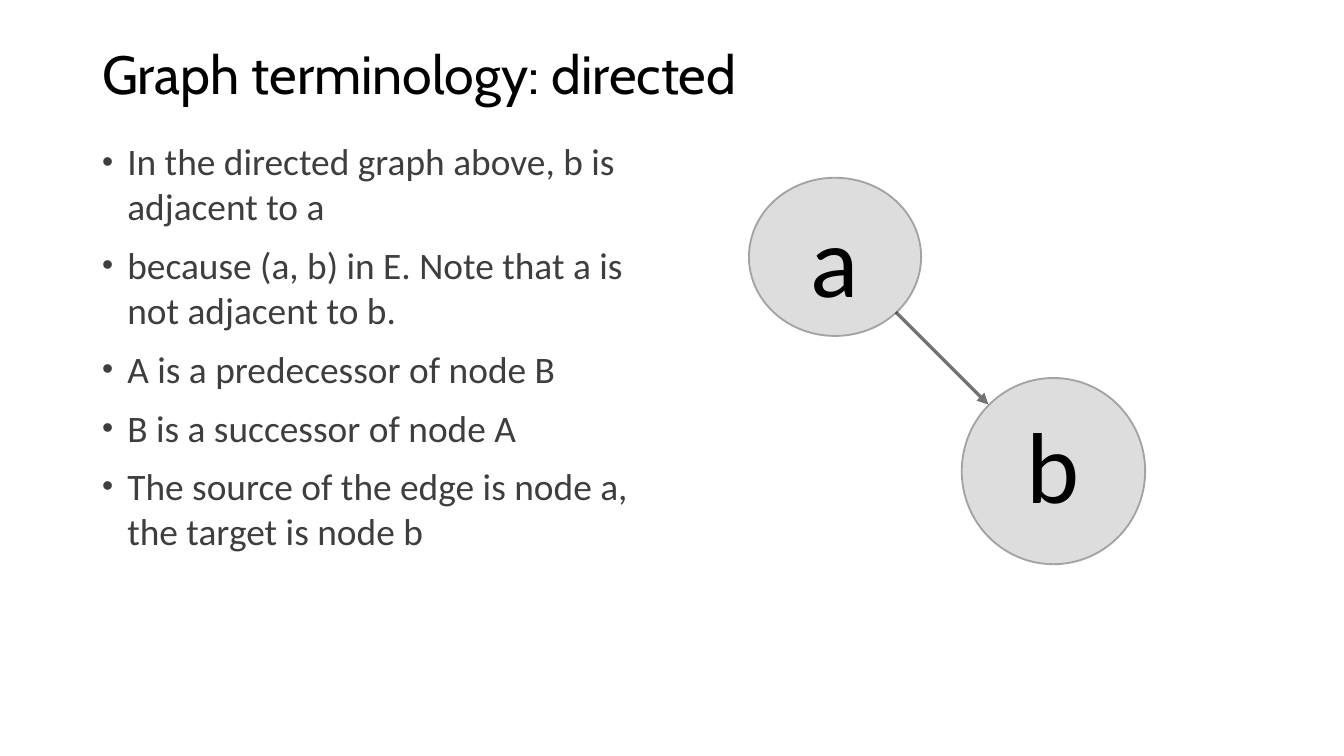
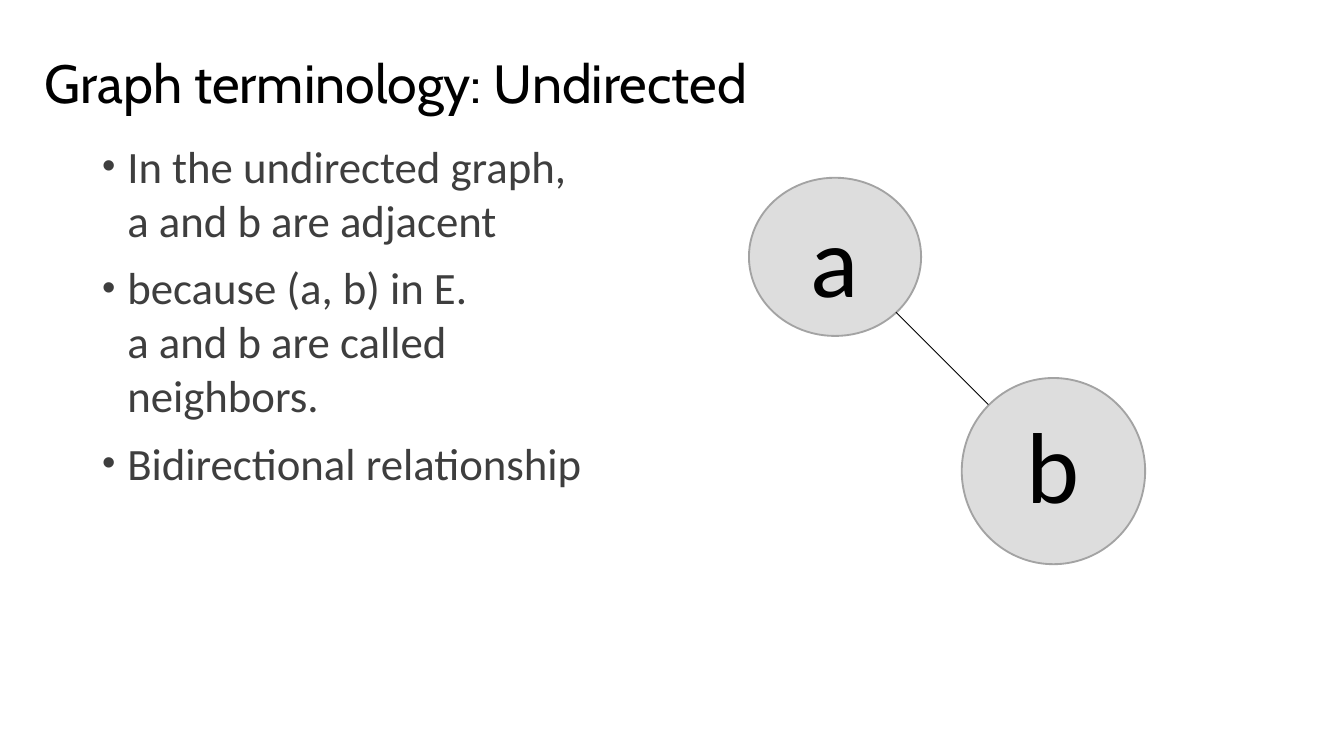
from dataclasses import dataclass
from math import sqrt

from lxml import etree
from pptx import Presentation
from pptx.dml.color import RGBColor
from pptx.enum.shapes import MSO_CONNECTOR, MSO_SHAPE
from pptx.enum.text import MSO_ANCHOR, PP_ALIGN
from pptx.oxml.ns import qn
from pptx.slide import Slide
from pptx.text.text import TextFrame, _Paragraph
from pptx.util import Emu, Pt

STRAIGHT = MSO_CONNECTOR.STRAIGHT
ELLIPSE = MSO_SHAPE.OVAL
TOP, MIDDLE, BOTTOM = MSO_ANCHOR.TOP, MSO_ANCHOR.MIDDLE, MSO_ANCHOR.BOTTOM
CENTER = PP_ALIGN.CENTER

EMU_PER_PX = 9525
SLIDE_WIDTH, SLIDE_HEIGHT = 960, 540


@dataclass(frozen=True)
class Theme:
    title_font: str = "Cabin"
    text_font: str = "Calibri"
    ink: str = "000000"
    body: str = "3E3E3E"
    node_fill: str = "DDDDDD"
    node_line: str = "A3A3A3"
    title_size: float = 28.8
    node_size: float = 54
    bullet_gap: float = 7.5
    bullet_percent: int = 85
    tight_spacing: float = 0.9


THEME = Theme()


@dataclass(frozen=True)
class Box:
    left: int
    top: int
    width: int
    height: int

    def diagonal_point(self, direction: int) -> tuple[int, int]:
        """Point of the inscribed ellipse at 45 degrees: 1 lower right, -1 upper left."""
        reach = (1 + direction / sqrt(2)) / 2
        return round(self.left + self.width * reach), round(self.top + self.height * reach)


@dataclass(frozen=True)
class Node:
    label: str
    box: Box
    line_spacing: float


@dataclass(frozen=True)
class Edge:
    width: float
    directed: bool
    opacity: int = 100


@dataclass(frozen=True)
class GraphSlide:
    title: str
    title_box: Box
    bullets: tuple[str, ...]
    bullet_size: int
    edge: Edge


BULLET_BOX = Box(66, 95, 396, 350)
BULLET_INDENT = 18
NODE_A = Node("a", Box(535, 127, 123, 113), 1.0)
NODE_B = Node("b", Box(687, 270, 131, 133), THEME.tight_spacing)

GRAPH_SLIDES = (
    GraphSlide(
        "Graph terminology: directed",
        Box(66, 29, 828, 51),
        (
            "In the directed graph above, b is adjacent to a",
            "because (a, b) in E. Note that a is not adjacent to b.",
            "A is a predecessor of node B",
            "B is a successor of node A",
            "The source of the edge is node a, the target is node b",
        ),
        20,
        Edge(1.75, directed=True, opacity=55),
    ),
    GraphSlide(
        "Graph terminology: Undirected",
        Box(25, 35, 828, 51),
        (
            "In the undirected graph,\va and b are adjacent",
            "because (a, b) in E.\va and b are called neighbors.",
            "Bidirectional relationship",
        ),
        24,
        Edge(0.5, directed=False),
    ),
)


def px(length: int) -> Emu:
    return Emu(length * EMU_PER_PX)


def place(box: Box) -> tuple[Emu, Emu, Emu, Emu]:
    return px(box.left), px(box.top), px(box.width), px(box.height)


def prepare_frame(frame: TextFrame, anchor: MSO_ANCHOR, side: int, end: int) -> None:
    frame.word_wrap = True
    frame.vertical_anchor = anchor
    frame.margin_left = frame.margin_right = px(side)
    frame.margin_top = frame.margin_bottom = px(end)


def style_runs(paragraph: _Paragraph, font: str, size: float, color: str) -> None:
    for run in paragraph.runs:
        run.font.name = font
        run.font.size = Pt(size)
        run.font.color.rgb = RGBColor.from_string(color)


def add_text_box(slide: Slide, box: Box, anchor: MSO_ANCHOR) -> TextFrame:
    frame = slide.shapes.add_textbox(*place(box)).text_frame
    prepare_frame(frame, anchor, side=7, end=4)
    return frame


def add_title(slide: Slide, title: str, box: Box) -> None:
    frame = add_text_box(slide, box, BOTTOM)
    frame.text = title
    heading = frame.paragraphs[0]
    heading.line_spacing = THEME.tight_spacing
    style_runs(heading, THEME.title_font, THEME.title_size, THEME.ink)


def add_bullet_mark(paragraph: _Paragraph) -> None:
    properties = paragraph._p.get_or_add_pPr()
    properties.set("marL", str(px(BULLET_INDENT)))
    properties.set("indent", str(px(-BULLET_INDENT)))
    mark_color = etree.SubElement(properties, qn("a:buClr"))
    etree.SubElement(mark_color, qn("a:srgbClr"), val=THEME.body)
    etree.SubElement(properties, qn("a:buSzPct"), val=str(THEME.bullet_percent * 1000))
    etree.SubElement(properties, qn("a:buFont"), typeface="Arial")
    etree.SubElement(properties, qn("a:buChar"), char="•")


def add_bullets(slide: Slide, bullets: tuple[str, ...], size: int) -> None:
    frame = add_text_box(slide, BULLET_BOX, TOP)
    for index, statement in enumerate(bullets):
        paragraph = frame.add_paragraph() if index else frame.paragraphs[0]
        paragraph.text = statement
        add_bullet_mark(paragraph)
        if index:
            paragraph.space_before = Pt(THEME.bullet_gap)
        style_runs(paragraph, THEME.text_font, size, THEME.body)


def add_node(slide: Slide, node: Node) -> None:
    circle = slide.shapes.add_shape(ELLIPSE, *place(node.box))
    circle.shadow.inherit = False
    circle.fill.solid()
    circle.fill.fore_color.rgb = RGBColor.from_string(THEME.node_fill)
    circle.line.color.rgb = RGBColor.from_string(THEME.node_line)
    circle.line.width = Pt(1)
    prepare_frame(circle.text_frame, MIDDLE, side=0, end=0)
    circle.text_frame.text = node.label
    label = circle.text_frame.paragraphs[0]
    label.alignment = CENTER
    label.line_spacing = node.line_spacing
    style_runs(label, THEME.text_font, THEME.node_size, THEME.ink)


def add_edge(slide: Slide, source: Node, target: Node, edge: Edge) -> None:
    start = source.box.diagonal_point(1)
    end = target.box.diagonal_point(-1)
    link = slide.shapes.add_connector(STRAIGHT, *map(px, start + end))
    link.line.color.rgb = RGBColor.from_string(THEME.ink)
    link.line.width = Pt(edge.width)
    properties = link._element.spPr
    outline = properties.find(qn("a:ln"))
    if edge.opacity < 100:
        color = outline.find(".//" + qn("a:srgbClr"))
        etree.SubElement(color, qn("a:alpha"), val=str(edge.opacity * 1000))
    if edge.directed:
        etree.SubElement(outline, qn("a:tailEnd"), type="triangle")
    etree.SubElement(properties, qn("a:effectLst"))


def main() -> None:
    deck = Presentation()
    deck.slide_width, deck.slide_height = px(SLIDE_WIDTH), px(SLIDE_HEIGHT)
    blank = deck.slide_layouts[6]
    for content in GRAPH_SLIDES:
        slide = deck.slides.add_slide(blank)
        # Terminology
        add_title(slide, content.title, content.title_box)
        add_bullets(slide, content.bullets, content.bullet_size)
        # Graph
        for node in (NODE_A, NODE_B):
            add_node(slide, node)
        add_edge(slide, NODE_A, NODE_B, content.edge)
    deck.save("out.pptx")


if __name__ == "__main__":
    main()
